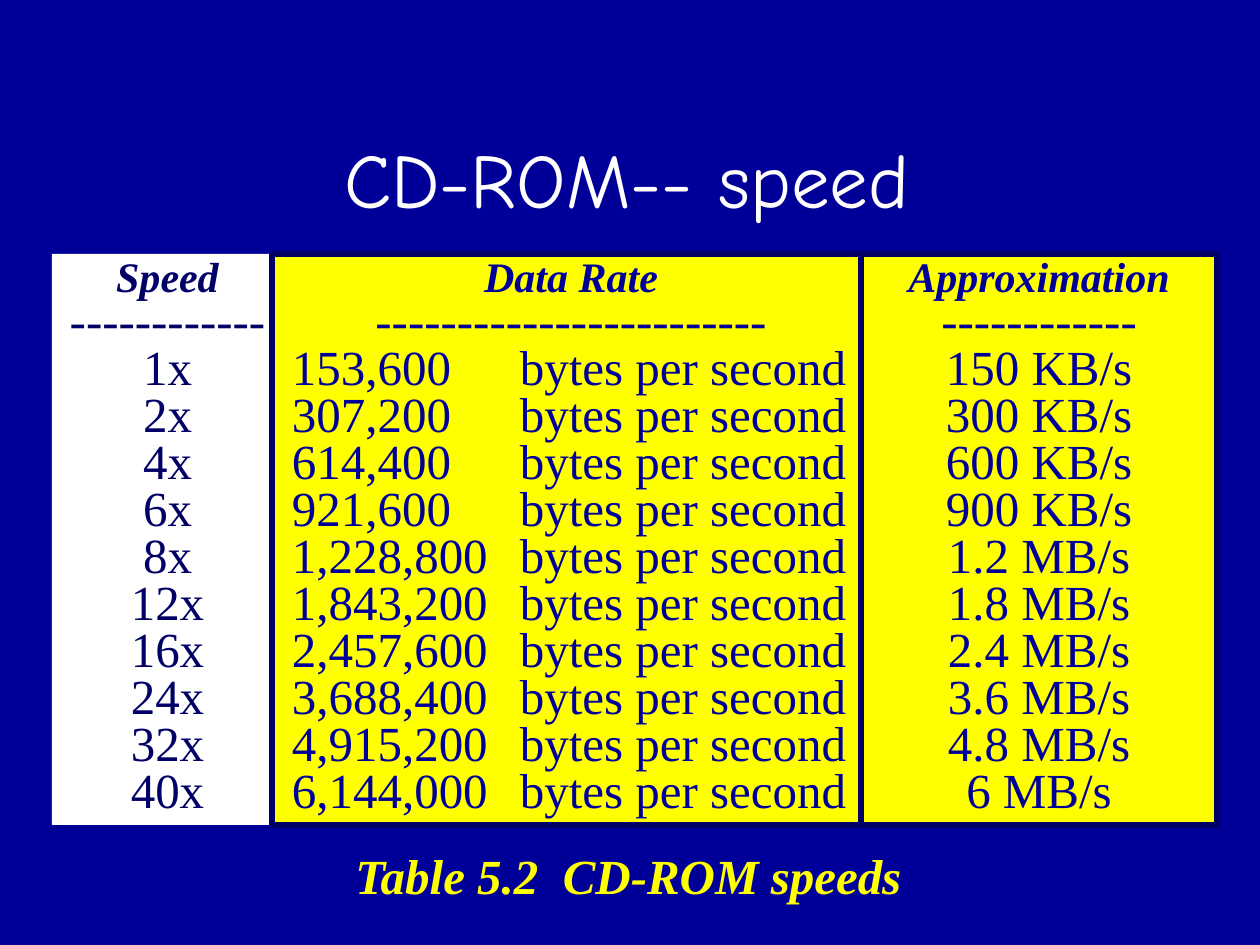
from dataclasses import dataclass
from typing import Optional

from lxml.etree import SubElement
from pptx import Presentation
from pptx.dml.color import RGBColor
from pptx.enum.shapes import MSO_SHAPE as Shape
from pptx.enum.text import MSO_ANCHOR as Anchor, PP_ALIGN as Align
from pptx.oxml.ns import qn
from pptx.util import Emu, Pt

EMU_PER_PX = 914400 / 126
COLORS = {
    "background": "000099",
    "navy": "000066",
    "yellow": "FFFF00",
    "white": "FFFFFF",
}
SERIF = "Times New Roman"
PANEL_TOP, PANEL_HEIGHT = 254, 571
RATE_TAB = 228


@dataclass(frozen=True)
class Column:
    heading: str
    dashes: int
    values: list[str]
    left: int
    width: int
    fill: str
    ink: str
    border: Optional[str] = None
    inset: int = 13
    tab: Optional[int] = None


@dataclass(frozen=True)
class Label:
    text: str
    box: tuple[int, int, int, int]
    font: str
    size: int
    color: str
    align: Align
    anchor: Anchor
    emphasis: bool = False
    wrap: bool = True


def px(length: int) -> Emu:
    return Emu(round(length * EMU_PER_PX))


def rgb(name: str) -> RGBColor:
    return RGBColor.from_string(COLORS[name])


def style(paragraph, font: str, size: int, color: str, emphasis: bool) -> None:
    paragraph.font.name = font
    paragraph.font.size = Pt(size)
    paragraph.font.color.rgb = rgb(color)
    paragraph.font.bold = paragraph.font.italic = emphasis


def add_tab_stop(paragraph, position: int) -> None:
    tabs = SubElement(paragraph._p.get_or_add_pPr(), qn("a:tabLst"))
    SubElement(tabs, qn("a:tab"), pos=str(px(position)), algn="l")


def draw_column(slide, column: Column) -> None:
    panel = slide.shapes.add_shape(
        Shape.RECTANGLE, px(column.left), px(PANEL_TOP), px(column.width), px(PANEL_HEIGHT)
    )
    panel.shadow.inherit = False
    panel.fill.solid()
    panel.fill.fore_color.rgb = rgb(column.fill)
    if column.border:
        panel.line.color.rgb = rgb(column.border)
        panel.line.width = Pt(3)
    else:
        panel.line.fill.background()

    frame = panel.text_frame
    frame.word_wrap = True
    frame.vertical_anchor = Anchor.TOP
    frame.margin_left = frame.margin_right = px(column.inset)
    lines = [column.heading, "-" * column.dashes, *column.values]
    for row, text in enumerate(lines):
        paragraph = frame.add_paragraph() if row else frame.paragraphs[0]
        paragraph.text = text
        paragraph.line_spacing = 0.8
        tabbed = column.tab is not None and "\t" in text
        paragraph.alignment = Align.LEFT if tabbed else Align.CENTER
        if tabbed:
            add_tab_stop(paragraph, column.tab)
        is_heading = row == 0
        style(paragraph, SERIF, 24 if is_heading else 28, column.ink, is_heading)


def draw_label(slide, label: Label) -> None:
    frame = slide.shapes.add_textbox(*map(px, label.box)).text_frame
    frame.word_wrap = label.wrap
    frame.vertical_anchor = label.anchor
    paragraph = frame.paragraphs[0]
    paragraph.text = label.text
    paragraph.alignment = label.align
    style(paragraph, label.font, label.size, label.color, label.emphasis)


SPEEDS = [1, 2, 4, 6, 8, 12, 16, 24, 32, 40]
RATES = ["153,600", "307,200", "614,400", "921,600", "1,228,800",
         "1,843,200", "2,457,600", "3,688,400", "4,915,200", "6,144,000"]
KILOBYTES = [150, 300, 600, 900]
MEGABYTES = [1.2, 1.8, 2.4, 3.6, 4.8, 6]

COLUMNS = [
    Column("Speed", 12, [f"{speed}x" for speed in SPEEDS],
           52, 231, "white", "navy"),
    Column("Data Rate", 24, [f"{rate}\tbytes per second" for rate in RATES],
           272, 598, "yellow", "background", "navy", inset=20, tab=RATE_TAB),
    Column("Approximation", 12,
           [f"{amount} KB/s" for amount in KILOBYTES]
           + [f"{amount} MB/s" for amount in MEGABYTES],
           861, 356, "yellow", "background", "navy"),
]
TITLE = Label("CD-ROM-- speed", (154, 76, 946, 154), "Comic Neue", 44,
              "white", Align.CENTER, Anchor.BOTTOM)
CAPTION = Label("Table 5.2  CD-ROM speeds", (343, 839, 576, 72), SERIF, 28,
                "yellow", Align.LEFT, Anchor.TOP, emphasis=True, wrap=False)


def main() -> None:
    deck = Presentation()
    deck.slide_width, deck.slide_height = px(1260), px(945)
    slide = deck.slides.add_slide(deck.slide_layouts[6])
    slide.background.fill.solid()
    slide.background.fill.fore_color.rgb = rgb("background")

    # Caption below the speed columns
    draw_label(slide, CAPTION)

    # Speed, data rate and approximation, left to right
    for column in COLUMNS:
        draw_column(slide, column)

    # Title
    draw_label(slide, TITLE)

    deck.save("out.pptx")


if __name__ == "__main__":
    main()
